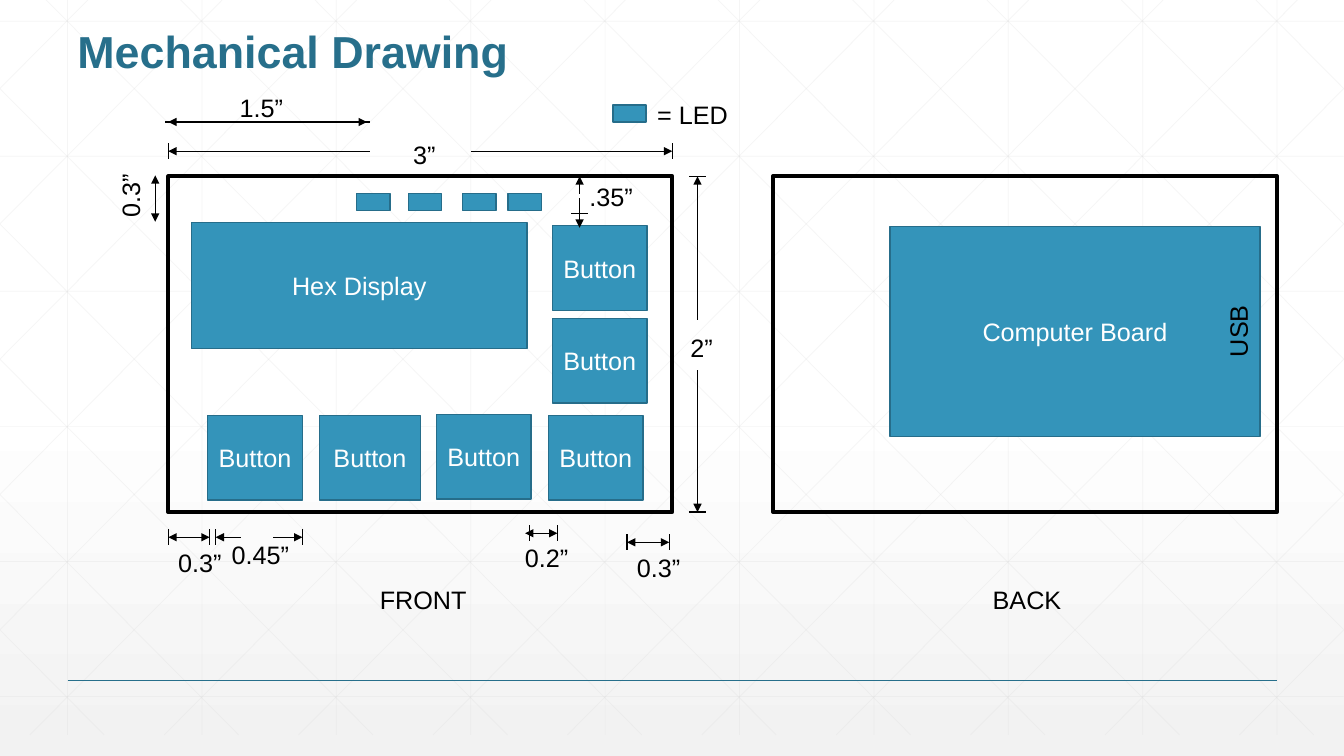
from dataclasses import dataclass

from lxml.etree import SubElement
from pptx import Presentation
from pptx.dml.color import RGBColor
from pptx.enum.shapes import MSO_CONNECTOR as Connector, MSO_SHAPE as Preset
from pptx.enum.text import MSO_ANCHOR as Anchor, PP_ALIGN as Align
from pptx.oxml.ns import qn
from pptx.util import Emu, Pt

PX = 9144  # EMU per px: 100 px to the inch
WIDTH, HEIGHT = 1333, 750
TICK = 8  # half the length of a tick
BLACK, WHITE, TEAL = "000000", "FFFFFF", "276F8B"
BLOCK_FILL, BLOCK_LINE, GRID = "3494BA", "266D8A", "D9D9D9"


@dataclass
class Block:
    left: int
    top: int
    width: int
    height: int
    text: str = ""


@dataclass
class Label:
    text: str
    left: int
    top: int
    width: int
    height: int = 40
    rotation: int = 0


@dataclass
class Dimension:
    """Two arrows pointing outwards, at a fixed y (or x if vertical)."""
    position: int
    start: int
    end: int
    start_tail: int
    end_tail: int
    ticks: tuple[int, ...] = ()
    vertical: bool = False


BUTTONS = [Block(left, top, width, 84, "Button") for left, top, width in [
    (206, 412, 94), (317, 412, 100), (433, 411, 94), (544, 412, 94),
    (548, 224, 94), (548, 316, 94)]]
LEDS = [Block(left, top, 33, 17) for left, top in [
    (354, 192), (405, 192), (459, 192), (504, 192), (608, 104)]]
BOARDS = [Block(190, 221, 333, 125, "Hex Display"),
          Block(883, 225, 367, 208, "Computer Board")]
FRAMES = [Block(left, 175, 500, 333) for left in (167, 767)]

DIMENSIONS = [
    Dimension(121, 167, 364, 367, 164),
    Dimension(150, 167, 667, 367, 467, (167, 667)),
    Dimension(533, 167, 208, 192, 179, (167, 208)),
    Dimension(533, 214, 300, 239, 271, (214, 300)),
    Dimension(529, 521, 553, 546, 524, (525, 553)),
    Dimension(538, 622, 664, 647, 635, (622, 664)),
    Dimension(154, 174, 220, 203, 195, vertical=True),
    Dimension(575, 175, 226, 192, 196, (212,), vertical=True),
    Dimension(692, 175, 508, 317, 367, (175, 508), vertical=True),
]
LABELS = [
    Label("1.5”", 228, 87, 64), Label("3”", 400, 133, 43),
    Label("0.3”", 92, 169, 74, rotation=270), Label(".35”", 575, 175, 64),
    Label("2”", 675, 325, 43), Label("0.3”", 167, 538, 64),
    Label("0.45”", 220, 530, 78), Label("0.2”", 511, 533, 64),
    Label("0.3”", 622, 543, 64), Label("= LED", 642, 94, 91),
    Label("USB", 1192, 308, 72, rotation=270),
    Label("FRONT", 367, 575, 107), Label("BACK", 975, 575, 89),
]


def px(*values: float) -> list[Emu]:
    return [Emu(round(value * PX)) for value in values]


def color(value: str) -> RGBColor:
    return RGBColor.from_string(value)


def write(shape, text: str, *, size=18, fill=BLACK, bold=False,
          align=Align.LEFT, anchor=Anchor.TOP, spacing=1.0, wrap=False) -> None:
    frame = shape.text_frame
    frame.word_wrap = wrap
    frame.vertical_anchor = anchor
    paragraph = frame.paragraphs[0]
    paragraph.alignment = align
    paragraph.line_spacing = spacing
    run = paragraph.add_run()
    run.text = text
    run.font.name, run.font.size, run.font.bold = "Arial", Pt(size), bold
    run.font.color.rgb = color(fill)


def draw_line(slide, x1: float, y1: float, x2: float, y2: float, *,
              stroke=BLACK, width=1.0, opacity=100, arrow=False) -> None:
    """Draw a line; an arrowhead sits at its first point."""
    line = slide.shapes.add_connector(Connector.STRAIGHT, *px(x1, y1, x2, y2))
    line.line.color.rgb = color(stroke)
    line.line.width = Pt(width)
    outline = line.line._get_or_add_ln()
    if opacity < 100:
        SubElement(outline.find(".//" + qn("a:srgbClr")), qn("a:alpha"),
                   val=str(opacity * 1000))
    if arrow:
        SubElement(outline, qn("a:headEnd"), type="triangle")
    SubElement(line._element.spPr, qn("a:effectLst"))


def draw_block(slide, block: Block, *, fill: str | None = BLOCK_FILL,
               stroke=BLOCK_LINE, width=1) -> None:
    shape = slide.shapes.add_shape(
        Preset.RECTANGLE, *px(block.left, block.top, block.width, block.height))
    shape.shadow.inherit = False
    if fill:
        shape.fill.solid()
        shape.fill.fore_color.rgb = color(fill)
    else:
        shape.fill.background()
    shape.line.color.rgb = color(stroke)
    shape.line.width = Pt(width)
    if block.text:
        write(shape, block.text, fill=WHITE, align=Align.CENTER, anchor=Anchor.MIDDLE)


def draw_label(slide, label: Label, **text_format) -> None:
    box = slide.shapes.add_textbox(
        *px(label.left, label.top, label.width, label.height))
    box.rotation = label.rotation
    write(box, label.text, **text_format)


def draw_dimension(slide, dimension: Dimension) -> None:
    at = dimension.position

    def point(along: int, across: int) -> tuple[int, int]:
        return (across, along) if dimension.vertical else (along, across)

    for tip, tail in [(dimension.start, dimension.start_tail),
                      (dimension.end, dimension.end_tail)]:
        draw_line(slide, *point(tip, at), *point(tail, at), arrow=True)
    for tick in dimension.ticks:
        draw_line(slide, *point(tick, at - TICK), *point(tick, at + TICK))


def draw_background(slide) -> None:
    fill = slide.background.fill
    fill.gradient()
    fill.gradient_angle = 270
    for stop, position, value in zip(fill.gradient_stops, (0.53, 1), (WHITE, "F2F2F2")):
        stop.position = position
        stop.color.rgb = color(value)

    top, bottom, step = -21, 729, 400 / 3
    slope = 750 / 745
    lines = [(67 + step * i, 0, 67 + step * i, bottom) for i in range(10)]
    lines += [(0, 21 + 134 * i, WIDTH, 21 + 134 * i) for i in range(6)]
    # Diagonals clipped to the slide, each with its mirror image
    for i in range(-5, 10):
        start = 25 + step * i
        y1 = max(0, top - start * slope)
        y2 = min(bottom, top + (WIDTH - start) * slope)
        x1, x2 = (start + (y - top) / slope for y in (y1, y2))
        lines += [(x1, y1, x2, y2), (WIDTH - x1, y1, WIDTH - x2, y2)]
    for line in lines:
        draw_line(slide, *line, stroke=GRID, width=0.5, opacity=25)


def main() -> None:
    presentation = Presentation()
    presentation.slide_width, presentation.slide_height = px(WIDTH + 1 / 3, HEIGHT)
    slide = presentation.slides.add_slide(presentation.slide_layouts[6])

    # Backdrop, footer rule and title
    draw_background(slide)
    draw_line(slide, 67, 675, 1267, 675, stroke=TEAL)
    draw_label(slide, Label("Mechanical Drawing", 67, 25, 1200, 100),
               size=32, fill=TEAL, bold=True, spacing=0.9, wrap=True)

    # Front and back of the device
    for frame in FRAMES:
        draw_block(slide, frame, fill=None, stroke=BLACK, width=3)
    for block in BOARDS + BUTTONS + LEDS:
        draw_block(slide, block)

    # Measurements and captions
    for dimension in DIMENSIONS:
        draw_dimension(slide, dimension)
    for label in LABELS:
        draw_label(slide, label)

    presentation.save("out.pptx")


if __name__ == "__main__":
    main()
